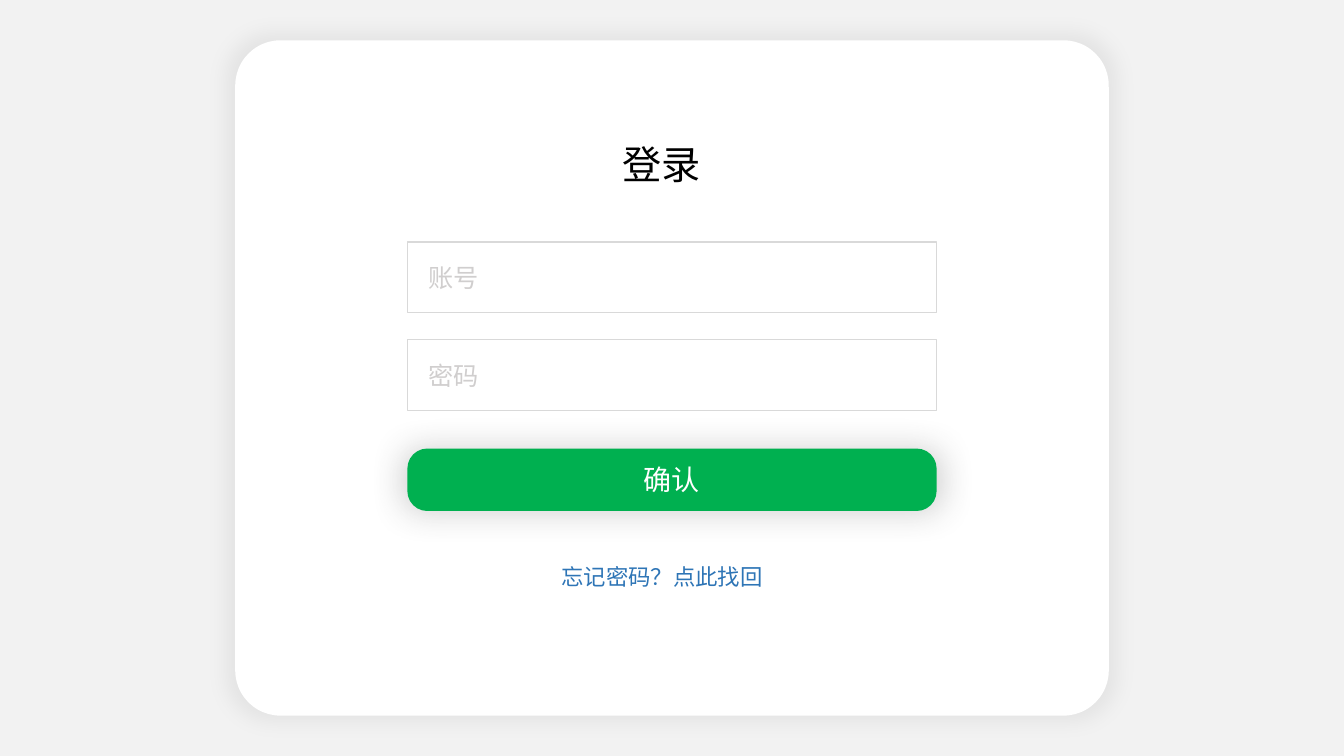
from lxml import etree
from pptx import Presentation
from pptx.dml.color import RGBColor
from pptx.enum.shapes import MSO_SHAPE
from pptx.enum.text import MSO_ANCHOR, PP_ALIGN
from pptx.oxml.ns import qn
from pptx.util import Pt

RECT = MSO_SHAPE.RECTANGLE
ROUNDED = MSO_SHAPE.ROUNDED_RECTANGLE
MIDDLE, TOP = MSO_ANCHOR.MIDDLE, MSO_ANCHOR.TOP
LEFT, CENTER = PP_ALIGN.LEFT, PP_ALIGN.CENTER

FONT = "Noto Sans CJK SC"
COLORS = {
    "page": "F2F2F2",
    "white": "FFFFFF",
    "black": "000000",
    "border": "D9D9D9",
    "hint": "D0CECE",
    "green": "00B050",
    "link": "2E75B6",
    "button_shadow": "404040",
}
FORM_LEFT, FORM_WIDTH = 291, 378
FIELD_TOP, FIELD_HEIGHT, FIELD_PITCH = 172.8, 50.4, 69.9


def rgb(name):
    """Return the named colour."""
    return RGBColor.from_string(COLORS[name])


def write(holder, text, size, color, align=CENTER, anchor=MIDDLE, indent=7.2):
    """Write one formatted line of text into a shape or text box."""
    frame = holder.text_frame
    frame.word_wrap = True
    frame.vertical_anchor = anchor
    frame.margin_left = Pt(indent)
    line = frame.paragraphs[0]
    line.alignment = align
    run = line.add_run()
    run.text = text
    run.font.size = Pt(size)
    run.font.name = FONT
    run.font.color.rgb = rgb(color)
    etree.SubElement(run.font._element, qn("a:ea"), typeface=FONT)


def add_panel(slide, kind, box, fill, border=None, radius=None):
    """Add a filled panel with an optional border and corner radius."""
    panel = slide.shapes.add_shape(kind, *map(Pt, box))
    panel.shadow.inherit = False
    panel.fill.solid()
    panel.fill.fore_color.rgb = rgb(fill)
    if border:
        panel.line.color.rgb = rgb(border)
        panel.line.width = Pt(1)
    else:
        panel.line.fill.background()
    if radius is not None:
        panel.adjustments[0] = radius
    return panel


def add_glow_shadow(panel, color, alpha, blur):
    """Give a panel a soft shadow that spreads evenly on all sides."""
    effects = panel._element.spPr.find(qn("a:effectLst"))
    shadow = etree.SubElement(
        effects, qn("a:outerShdw"), blurRad=str(Pt(blur)), sx="102000",
        sy="102000", algn="ctr", rotWithShape="0")
    tint = etree.SubElement(shadow, qn("a:srgbClr"), val=COLORS[color])
    etree.SubElement(tint, qn("a:alpha"), val=str(alpha * 1000))


def add_label(slide, box, text, **style):
    """Add a text box with one line of text."""
    write(slide.shapes.add_textbox(*map(Pt, box)), text, anchor=TOP, **style)


def add_field(slide, top, hint):
    """Add an input field with its hint."""
    box = (FORM_LEFT, top, FORM_WIDTH, FIELD_HEIGHT)
    field = add_panel(slide, RECT, box, "white", border="border")
    write(field, hint, size=18, color="hint", align=LEFT, indent=15)


def main():
    """Build the login slide."""
    deck = Presentation()
    deck.slide_width, deck.slide_height = Pt(960), Pt(540)
    slide = deck.slides.add_slide(deck.slide_layouts[6])
    slide.background.fill.solid()
    slide.background.fill.fore_color.rgb = rgb("page")

    card = add_panel(slide, ROUNDED, (168, 28.8, 624, 482.4), "white", radius=0.067)
    add_glow_shadow(card, "black", alpha=5, blur=15)
    add_label(slide, (374.4, 96.5, 196.6, 41), "登录", size=28, color="black")

    for row, hint in enumerate(("账号", "密码")):
        add_field(slide, FIELD_TOP + row * FIELD_PITCH, hint)

    confirm = add_panel(slide, ROUNDED, (FORM_LEFT, 320.4, FORM_WIDTH, 44.6),
                        "green", radius=0.319)
    add_glow_shadow(confirm, "button_shadow", alpha=24, blur=24)
    write(confirm, "确认", size=20, color="white")
    add_label(slide, (386.6, 398.9, 172.8, 26.6), "忘记密码？点此找回",
              size=16, color="link")

    deck.save("out.pptx")


main()
